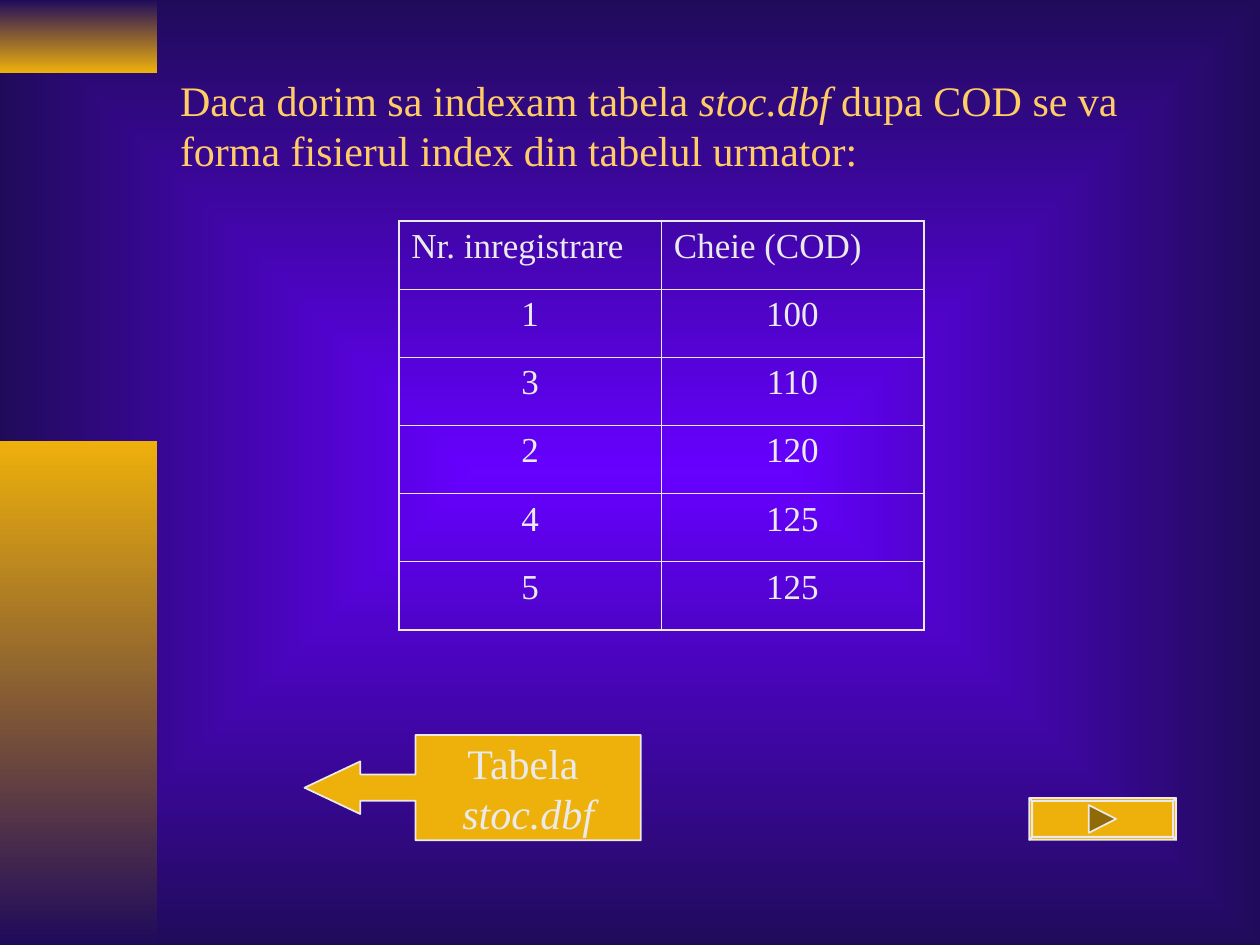
from pptx import Presentation
from pptx.dml.color import RGBColor
from pptx.enum import shapes, text
from pptx.oxml import parse_xml
from pptx.oxml.ns import nsdecls, qn
from pptx.util import Cm, Pt

# Content: each run is (words, italic)
TITLE = [[("Daca dorim sa indexam tabela ", False), ("stoc.dbf", True),
          (" dupa COD se va forma fisierul index din tabelul urmator:", False)]]
CALL = [[("Tabela ", False)], [("stoc.dbf", True)]]
ROWS = [("Nr. inregistrare", "Cheie (COD)"), ("1", "100"), ("3", "110"),
        ("2", "120"), ("4", "125"), ("5", "125")]
HUES = {"glow": "6600FF", "night": "200B5B", "gold": "EEB00B",
        "title": "FFCC66", "pale": "EAEAEA", "dark": "8F6A07"}
FONT = "Times New Roman"
BARS = [(0, 1.47, "night", "gold"), (8.89, 10.16, "gold", "night")]


def hue(name):
    return RGBColor.from_string(HUES[name])


def blend(fill, *names):
    fill.gradient()
    for stop, name in zip(fill.gradient_stops, names):
        stop.color.rgb = hue(name)


def paint(shape, name):
    shape.shadow.inherit = False
    shape.fill.solid()
    shape.fill.fore_color.rgb = hue(name)
    shape.line.color.rgb = hue("pale")
    shape.line.width = Pt(1)


def style(para, size, name, align):
    para.alignment = align
    para.font.name, para.font.size = FONT, Pt(size)
    para.font.color.rgb = hue(name)


def write(frame, paras, size, name, align):
    frame.vertical_anchor = text.MSO_ANCHOR.MIDDLE
    for i, runs in enumerate(paras):
        para = frame.add_paragraph() if i else frame.paragraphs[0]
        for words, slant in runs:
            run = para.add_run()
            run.text, run.font.italic = words, slant
        style(para, size, name, align)


def edge(cell, widths):
    props = cell._tc.get_or_add_tcPr()
    for i, (side, width) in enumerate(zip("LRTB", widths)):
        props.insert(i, parse_xml(
            f'<a:ln{side} {nsdecls("a")} w="{Pt(width)}"><a:solidFill>'
            f'<a:srgbClr val="{HUES["pale"]}"/></a:solidFill></a:ln{side}>'))


def poly(slide, loops, name):
    pen = None
    for first, *rest in loops:
        if pen is None:
            pen = slide.shapes.build_freeform(*first)
        else:
            pen.move_to(*first)
        pen.add_line_segments(rest, close=True)
    paint(pen.convert_to_shape(), name)


deck = Presentation()
deck.slide_width, deck.slide_height = Cm(25.4), Cm(19.05)
slide = deck.slides.add_slide(deck.slide_layouts[6])

# Background glowing from the centre
blend(slide.background.fill, "glow", "night")
grad = slide.element.find(".//" + qn("a:gradFill"))
grad.replace(grad.find(qn("a:lin")), parse_xml(
    f'<a:path {nsdecls("a")} path="rect"><a:fillToRect l="50000" t="50000" '
    'r="50000" b="50000"/></a:path>'))

# Side bars
for top, high, start, end in BARS:
    bar = slide.shapes.add_shape(shapes.MSO_SHAPE.RECTANGLE, 0, Cm(top),
                                 Cm(3.17), Cm(high))
    bar.shadow.inherit = False
    blend(bar.fill, start, end)
    bar.fill.gradient_angle = 270
    bar.line.fill.background()

# Title
box = slide.shapes.add_textbox(Cm(3.38), Cm(0.84), Cm(21.59), Cm(3.35))
box.text_frame.word_wrap = True
write(box.text_frame, TITLE, 24, "title", text.PP_ALIGN.LEFT)

# Index table, heavier on its outer edges
table = slide.shapes.add_table(len(ROWS), 2, Cm(8.04), Cm(4.45),
                               Cm(10.58), Cm(8.25)).table
table.first_row = table.horz_banding = False
for r, row in enumerate(ROWS):
    for c, words in enumerate(row):
        cell = table.cell(r, c)
        cell.text = words
        cell.fill.background()
        style(cell.text_frame.paragraphs[0], 20, "pale",
              text.PP_ALIGN.CENTER if r else text.PP_ALIGN.LEFT)
        outer = (c == 0, c == 1, r == 0, r == len(ROWS) - 1)
        edge(cell, [1.08 if out else 0.45 for out in outer])

# Callout pointing back to the table of goods
call = slide.shapes.add_shape(shapes.MSO_SHAPE.LEFT_ARROW_CALLOUT, Cm(6.14),
                              Cm(14.82), Cm(6.78), Cm(2.12))
for i, ratio in enumerate((0.25, 0.25, 0.53, 0.67)):
    call.adjustments[i] = ratio
paint(call, "gold")
call.text_frame.word_wrap = False
write(call.text_frame, CALL, 24, "pale", text.PP_ALIGN.CENTER)

# Next button: four bevels round a face, with a triangle on it
def ring(inset):
    left, top, right, low = 20.75, 16.09, 23.71, 16.93
    return [(Cm(x), Cm(y)) for x, y in (
        (left + inset, top + inset), (right - inset, top + inset),
        (right - inset, low - inset), (left + inset, low - inset))]


rim, face = ring(0), ring(0.06)
bevels = [[rim[i], rim[(i + 1) % 4], face[(i + 1) % 4], face[i]]
          for i in range(4)]
poly(slide, bevels + [face], "gold")
poly(slide, [[(Cm(21.95), Cm(16.23)), (Cm(22.5), Cm(16.51)),
              (Cm(21.95), Cm(16.79))]], "dark")

deck.save("out.pptx")
